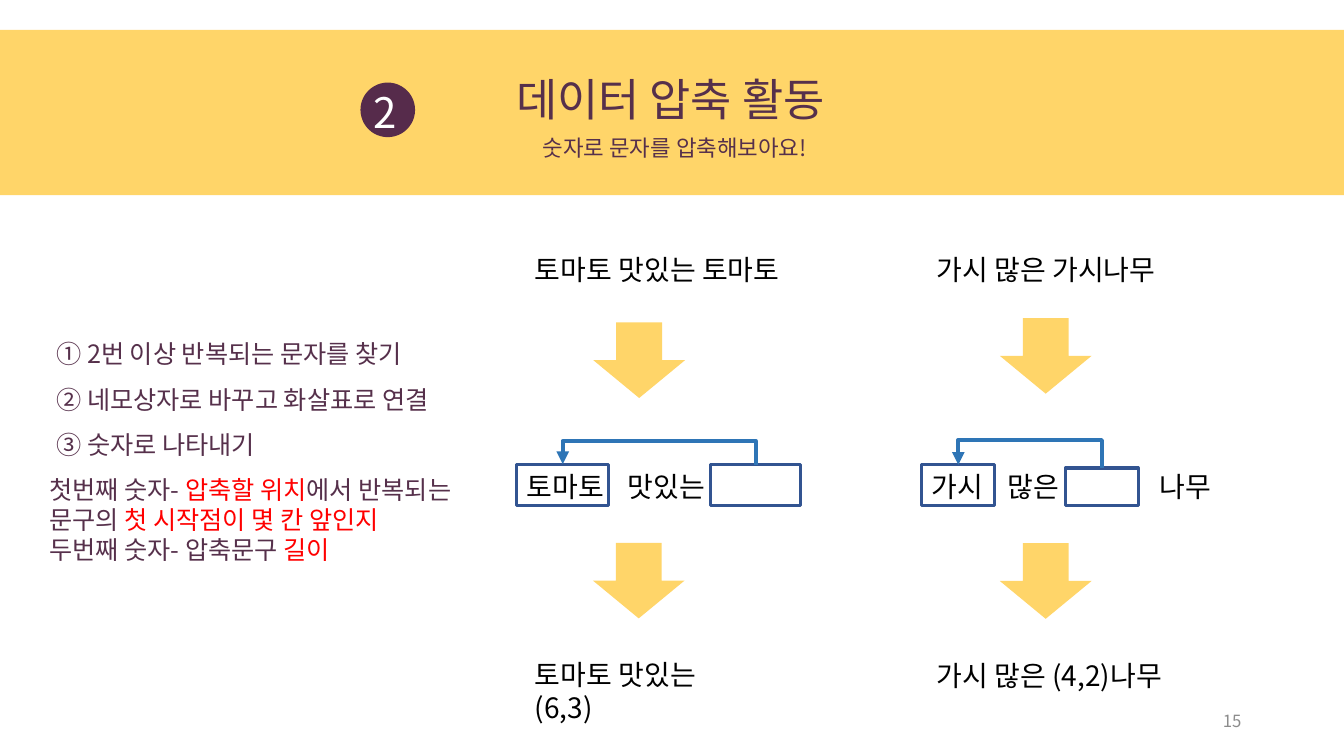
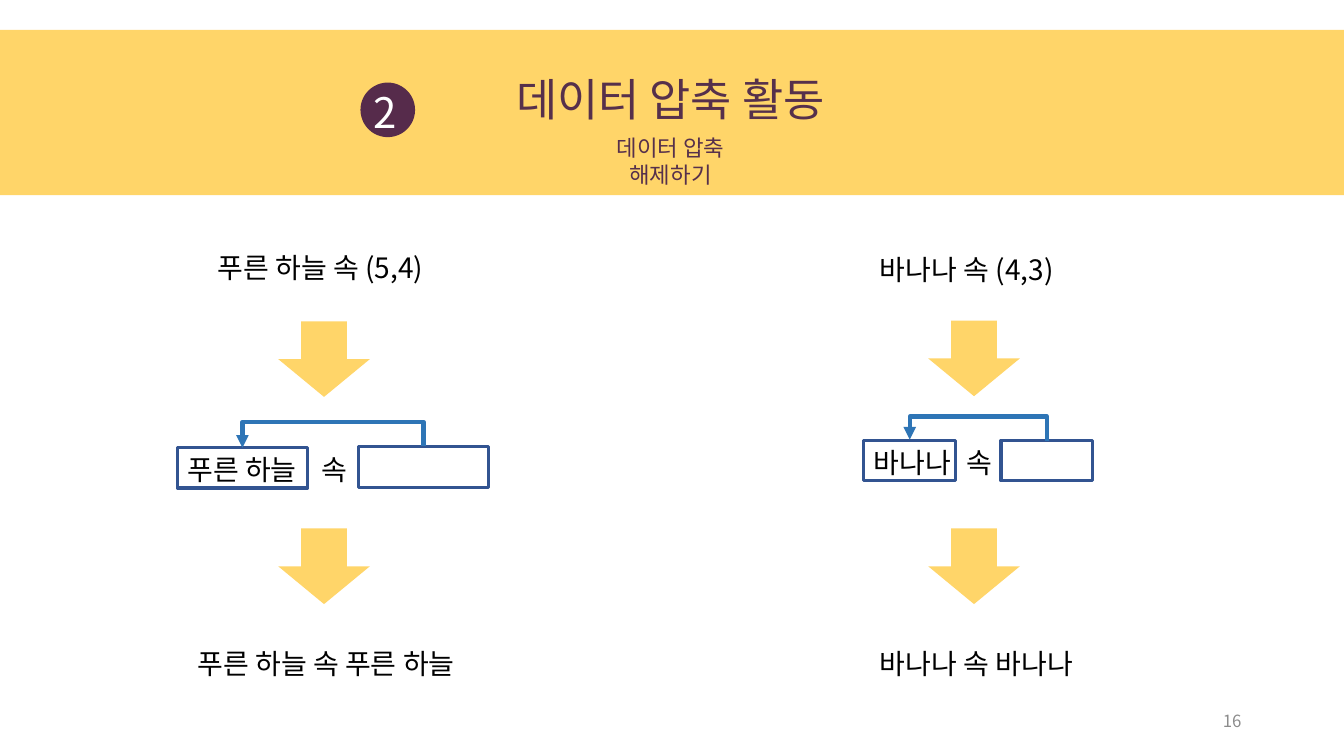
from lxml import etree
from pptx import Presentation
from pptx.dml.color import RGBColor
from pptx.enum.dml import MSO_FILL
from pptx.enum.shapes import MSO_CONNECTOR, MSO_SHAPE
from pptx.enum.text import MSO_ANCHOR, MSO_AUTO_SIZE, PP_ALIGN
from pptx.oxml.ns import qn
from pptx.util import Pt

RECTANGLE, OVAL, DOWN_ARROW = MSO_SHAPE.RECTANGLE, MSO_SHAPE.OVAL, MSO_SHAPE.DOWN_ARROW
ELBOW = MSO_CONNECTOR.ELBOW
TOP, MIDDLE = MSO_ANCHOR.TOP, MSO_ANCHOR.MIDDLE
LEFT, CENTER, RIGHT = PP_ALIGN.LEFT, PP_ALIGN.CENTER, PP_ALIGN.RIGHT
NO_AUTOFIT = MSO_AUTO_SIZE.NONE

FONT = "Noto Sans CJK KR"
COLORS = {
    "band": "FFD569",
    "badge": "562B4B",
    "heading": "56304B",
    "text": "000000",
    "accent": "FF0000",
    "frame": "325491",
    "link": "2E75B6",
    "number": "8C8C8C",
    "white": "FFFFFF",
}
ARROW_WIDTH, ARROW_HEIGHT = 65.5, 54
LINK_RISE = 17.6


def rgb(name):
    return RGBColor.from_string(COLORS[name])


def place(shape, left, top, width, height):
    shape.left, shape.top, shape.width, shape.height = map(Pt, (left, top, width, height))


def write(frame, paragraphs, size=20, color="text", align=LEFT, anchor=TOP,
          margins=(7.2, 3.6, 7.2, 3.6), spacing=None, wrap=True):
    frame.word_wrap = wrap
    frame.auto_size = NO_AUTOFIT
    frame.vertical_anchor = anchor
    (frame.margin_left, frame.margin_top,
     frame.margin_right, frame.margin_bottom) = map(Pt, margins)
    for index, parts in enumerate(paragraphs):
        para = frame.add_paragraph() if index else frame.paragraphs[0]
        para.alignment = align
        para.space_before = Pt(0)
        if spacing:
            para.line_spacing = spacing
        for text, part_color in parts:
            span = para.add_run()
            span.text = text
            span.font.size = Pt(size)
            span.font.name = FONT
            span.font.color.rgb = rgb(part_color or color)
            latin = span.font._element.find(qn("a:latin"))
            east_asian = etree.Element(qn("a:ea"), typeface=FONT)
            latin.addnext(east_asian)


def plain(*lines):
    return [[(line, None)] for line in lines]


def add_text(page, text, left, top, width, height=31.7, **style):
    box = page.shapes.add_textbox(Pt(left), Pt(top), Pt(width), Pt(height))
    write(box.text_frame, plain(text), **style)
    return box


def add_block(page, kind, left, top, width, height, fill=None, line=None):
    block = page.shapes.add_shape(kind, Pt(left), Pt(top), Pt(width), Pt(height))
    block.shadow.inherit = False
    if fill:
        block.fill.solid()
        block.fill.fore_color.rgb = rgb(fill)
    else:
        block.fill.background()
    if line:
        block.line.color.rgb = rgb(line)
        block.line.width = Pt(2.25)
    else:
        block.line.fill.background()
    return block


def add_link(page, source, target):
    start_x, end_x = source.left + source.width // 2, target.left + target.width // 2
    drop = max(abs(source.top - target.top), Pt(1))
    run = start_x - end_x
    link = page.shapes.add_connector(ELBOW, 0, 0, drop, run)
    link.left = (start_x + end_x - drop) // 2
    link.top = (source.top + target.top - run) // 2
    link.rotation = 270
    source_lower = source.top >= target.top
    rise = Pt(LINK_RISE) + (source.top - target.top if source_lower else 0)
    transform = link._element.spPr.find(qn("a:xfrm"))
    transform.set("flipV", "1")
    if not source_lower:
        transform.set("flipH", "1")
        rise = -rise
    geometry = link._element.spPr.find(qn("a:prstGeom"))
    guides = geometry.find(qn("a:avLst"))
    if guides is None:
        guides = etree.SubElement(geometry, qn("a:avLst"))
    etree.SubElement(guides, qn("a:gd"), name="adj1", fmla=f"val {round(rise / drop * 100000)}")
    link.line.color.rgb = rgb("link")
    link.line.width = Pt(3)
    etree.SubElement(link.line._get_or_add_ln(), qn("a:tailEnd"), type="triangle")
    etree.SubElement(link._element.spPr, qn("a:effectLst"))


def add_example(page, start, result, arrows, frames, labels):
    add_text(page, *start)
    add_text(page, *result)
    for left, top in arrows:
        add_block(page, DOWN_ARROW, left, top, ARROW_WIDTH, ARROW_HEIGHT, fill="band")
    word, *areas = frames
    target, source = [add_block(page, RECTANGLE, *area, line="frame") for area in areas]
    write(target.text_frame, plain(word), margins=(7.2, 3.6, 0, 0))
    for text, left in labels:
        add_text(page, text, left, areas[0][1], 75)
    add_link(page, source, target)


def add_shared_parts(page):
    band = add_block(page, RECTANGLE, 0, 21.4, 960, 118, fill="band")
    badge = add_block(page, OVAL, 257.5, 59, 39, 39, fill="badge")
    number = add_text(page, "2", 267, 62, 19, 36, size=30, color="white",
                      margins=(0, 0, 0, 0), wrap=False)
    layout = page.slide_layout
    for position, part in enumerate((band, badge, number), 2):
        layout.shapes.element.insert(position, part.element)


def add_heading(page, subtitle, left, width, number):
    title = page.shapes.title
    place(title, 336, 51, 286, 39)
    style = {"color": "heading", "align": CENTER, "margins": (0, 0, 0, 0)}
    write(title.text_frame, plain("데이터 압축 활동"), size=32, **style)
    add_text(page, subtitle, left, 95.8, width, 19.4, size=16, **style)
    add_text(page, number, 678, 500.5, 216, 28.8, size=12, color="number",
             align=RIGHT, anchor=MIDDLE)


def add_steps(page):
    body = page.placeholders[1]
    place(body, 33, 227.5, 297, 102)
    write(body.text_frame,
          plain("① 2번 이상 반복되는 문자를 찾기", "② 네모상자로 바꾸고 화살표로 연결", "③ 숫자로 나타내기"),
          size=18, color="heading", spacing=1.5)
    for para in body.text_frame.paragraphs:
        properties = para._p.get_or_add_pPr()
        properties.set("marL", "0")
        properties.set("indent", "0")
        etree.SubElement(properties, qn("a:buNone"))
    box = page.shapes.add_textbox(Pt(28), Pt(335), Pt(312.5), Pt(73))
    write(box.text_frame, [
        [("첫번째 숫자- ", None), ("압축할 위치", "accent"), ("에서 반복되는", None)],
        [("문구의 ", None), ("첫 시작점이 몇 칸 앞인지", "accent")],
        [("두번째 숫자- 압축문구 ", None), ("길이", "accent")],
    ], size=18, color="heading")


def build_compression(page):
    add_heading(page, "숫자로 문자를 압축해보아요!", 382, 200, "15")
    add_steps(page)
    add_example(page, ("토마토 맛있는 토마토", 375, 176.5, 197),
                ("토마토 맛있는 (6,3)", 375, 466, 173),
                [(423.8, 230.3), (423.5, 387.7)],
                ("토마토", (369, 332, 66, 29), (507.5, 332, 64.5, 29)),
                [("맛있는", 441.5)])
    add_example(page, ("가시 많은 가시나무", 662, 176.5, 179),
                ("가시 많은 (4,2)나무", 662, 466.6, 179),
                [(714.2, 227.2), (714.2, 388)],
                ("가시", (658.5, 332, 52, 29), (761, 334.3, 52, 26.7)),
                [("많은", 712.5), ("나무", 821.5)])


def build_decompression(page):
    add_heading(page, "데이터 압축 해제하기", 419, 120, "16")
    body = page.placeholders[1].element
    body.getparent().remove(body)
    add_example(page, ("푸른 하늘 속 (5,4)", 148.3, 175.7, 172),
                ("푸른 하늘 속 푸른 하늘", 134, 458, 201),
                [(198.7, 229.5), (198.7, 377.5)],
                ("푸른 하늘", (126.7, 319.6, 93, 29), (256, 319, 93, 29)),
                [("속", 222.5)])
    add_example(page, ("바나나 속 (4,3)", 621.5, 177, 155.5),
                ("바나나 속 바나나", 621.5, 458, 155.5),
                [(663, 229), (663, 377.5)],
                ("바나나", (617, 314.5, 65.7, 29), (715, 314.5, 65.7, 29)),
                [("속", 683.3)])


def main():
    deck = Presentation()
    deck.slide_width, deck.slide_height = Pt(960), Pt(540)
    layout = deck.slide_layouts[1]
    pages = [deck.slides.add_slide(layout) for _ in range(2)]
    add_shared_parts(pages[0])
    build_compression(pages[0])
    build_decompression(pages[1])
    deck.save("out.pptx")


if __name__ == "__main__":
    main()
